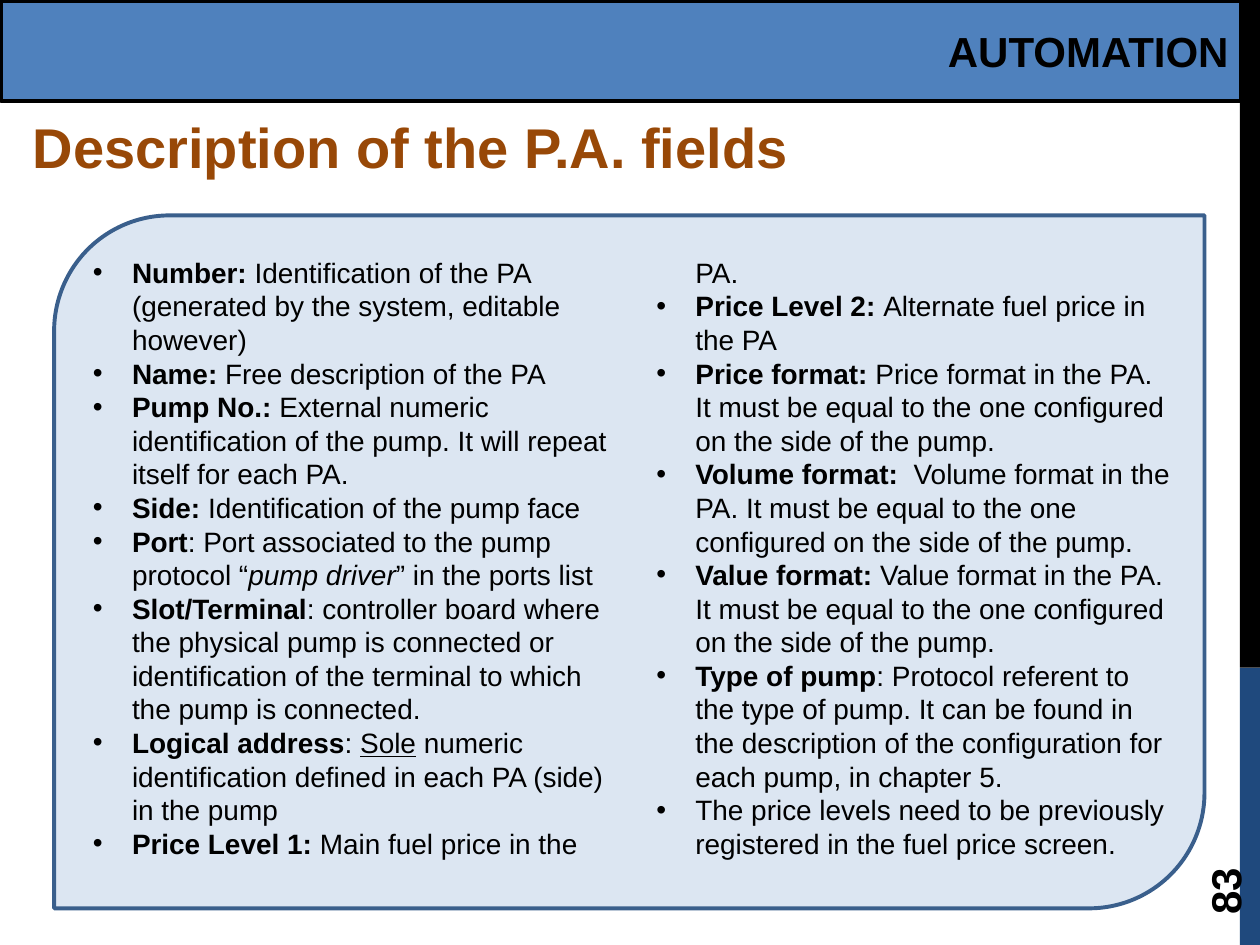
from lxml.etree import SubElement
from pptx import Presentation
from pptx.dml.color import RGBColor
from pptx.enum.shapes import MSO_SHAPE
from pptx.enum.text import MSO_ANCHOR, MSO_AUTO_SIZE, PP_ALIGN
from pptx.oxml.ns import qn
from pptx.util import Inches, Pt

FONT = "Arial"
BLACK = "000000"
SIDE_LEFT = 9.84

FIELDS = [
    [("Number: ", "b"), ("Identification of the PA (generated by the system, editable however)", "")],
    [("Name: ", "b"), ("Free description of the PA", "")],
    [("Pump No.: ", "b"), ("External numeric identification of the pump. It will repeat itself for each PA.", "")],
    [("Side: ", "b"), ("Identification of the pump face", "")],
    [("Port", "b"), (": Port associated to the pump protocol “", ""), ("pump driver", "i"),
     ("” in the ports list", "")],
    [("Slot/Terminal", "b"), (": controller board where the physical pump is connected or identification "
                              "of the terminal to which the pump is connected.", "")],
    [("Logical address", "b"), (": ", ""), ("Sole", "u"),
     (" numeric identification defined in each PA (side) in the pump", "")],
    [("Price Level 1: ", "b"), ("Main fuel price in the PA.", "")],
    [("Price Level 2: ", "b"), ("Alternate fuel price in the PA", "")],
    [("Price format: ", "b"), ("Price format in the PA. It must be equal to the one configured "
                               "on the side of the pump.", "")],
    [("Volume format:  ", "b"), ("Volume format in the PA. It must be equal to the one configured "
                                 "on the side of the pump.", "")],
    [("Value format:", "b"), (" Value format in the PA. It must be equal to the one configured "
                              "on the side of the pump.", "")],
    [("Type of pump", "b"), (": Protocol referent to the type of pump. It can be found in the description "
                             "of the configuration for each pump, in chapter 5.", "")],
    [("The price levels need to be previously registered in the fuel price screen.", "")],
]


def color(value):
    """Return the colour for a hex string."""
    return RGBColor.from_string(value)


def box(left, top, width, height):
    """Return position and size as lengths."""
    return [Inches(value) for value in (left, top, width, height)]


def style_run(run, size, ink, style="b"):
    """Format a run; style holds the letters b, i and u."""
    font = run.font
    font.name, font.size = FONT, Pt(size)
    font.color.rgb = color(ink)
    font.bold, font.italic, font.underline = ("b" in style, "i" in style, "u" in style)


def add_panel(slide, kind, place, fill, line=None):
    """Add a filled preset shape, outlined if a line colour is given."""
    panel = slide.shapes.add_shape(kind, *box(*place))
    panel.shadow.inherit = False
    panel.fill.solid()
    panel.fill.fore_color.rgb = color(fill)
    if line:
        panel.line.color.rgb = color(line)
        panel.line.width = Pt(2.25)
    else:
        panel.line.fill.background()
    return panel


def write_line(shape, text, size, ink, align, anchor):
    """Write one bold line into a shape."""
    frame = shape.text_frame
    frame.text = text
    frame.word_wrap = True
    frame.vertical_anchor = anchor
    frame.paragraphs[0].alignment = align
    style_run(frame.paragraphs[0].runs[0], size, ink)


def add_title(slide, text):
    """Place the slide title at the left below the header."""
    title = slide.shapes.title
    title.left, title.top, title.width, title.height = box(0.04, 0.84, 9.13, 0.64)
    write_line(title, text, 32, "984807", PP_ALIGN.LEFT, MSO_ANCHOR.TOP)
    title.text_frame.auto_size = MSO_AUTO_SIZE.NONE
    title.text_frame.margin_left = Inches(0.22)


def add_page_number(slide, number):
    """Add the page number, turned to read upwards."""
    page = slide.shapes.add_textbox(*box(9, 6.44, 1.44, 0.4))
    page.rotation = 270
    write_line(page, number, 24, BLACK, PP_ALIGN.LEFT, MSO_ANCHOR.MIDDLE)


def set_bullet(paragraph):
    """Give a paragraph a hanging round bullet."""
    properties = paragraph._p.get_or_add_pPr()
    properties.set("marL", str(Inches(0.31)))
    properties.set("indent", str(Inches(-0.31)))
    SubElement(properties, qn("a:buFont"), typeface=FONT)
    SubElement(properties, qn("a:buChar"), char="•")


def add_field_list(slide, fields):
    """Add the panel with the field descriptions in two columns."""
    panel = add_panel(slide, MSO_SHAPE.ROUND_2_DIAG_RECTANGLE, (0.43, 1.71, 9.13, 5.5), "DCE6F2", "3A5F8C")
    frame = panel.text_frame
    frame.word_wrap = True
    frame.vertical_anchor = MSO_ANCHOR.TOP
    frame.margin_left, frame.margin_right = Inches(0.04), 0
    columns = frame._txBody.bodyPr
    columns.set("numCol", "2")
    columns.set("spcCol", str(Inches(0.39)))
    for index, field in enumerate(fields):
        paragraph = frame.add_paragraph() if index else frame.paragraphs[0]
        set_bullet(paragraph)
        paragraph.alignment = PP_ALIGN.LEFT
        for text, style in field:
            run = paragraph.add_run()
            run.text = text
            style_run(run, 16, BLACK, style)


def main():
    """Build and save the slide."""
    deck = Presentation()
    deck.slide_width, deck.slide_height = Inches(10), Inches(7.5)
    slide = deck.slides.add_slide(deck.slide_layouts[5])
    add_panel(slide, MSO_SHAPE.RECTANGLE, (SIDE_LEFT, 5.3, 0.16, 2.2), "1F497D")
    add_panel(slide, MSO_SHAPE.RECTANGLE, (SIDE_LEFT, 0, 0.16, 5.3), BLACK)
    header = add_panel(slide, MSO_SHAPE.RECTANGLE, (0.01, 0.01, SIDE_LEFT, 0.79), "4F81BD", BLACK)
    write_line(header, "AUTOMATION", 24, BLACK, PP_ALIGN.RIGHT, MSO_ANCHOR.MIDDLE)
    add_page_number(slide, "83")
    add_title(slide, "Description of the P.A. fields")
    add_field_list(slide, FIELDS)
    deck.save("out.pptx")


if __name__ == "__main__":
    main()
